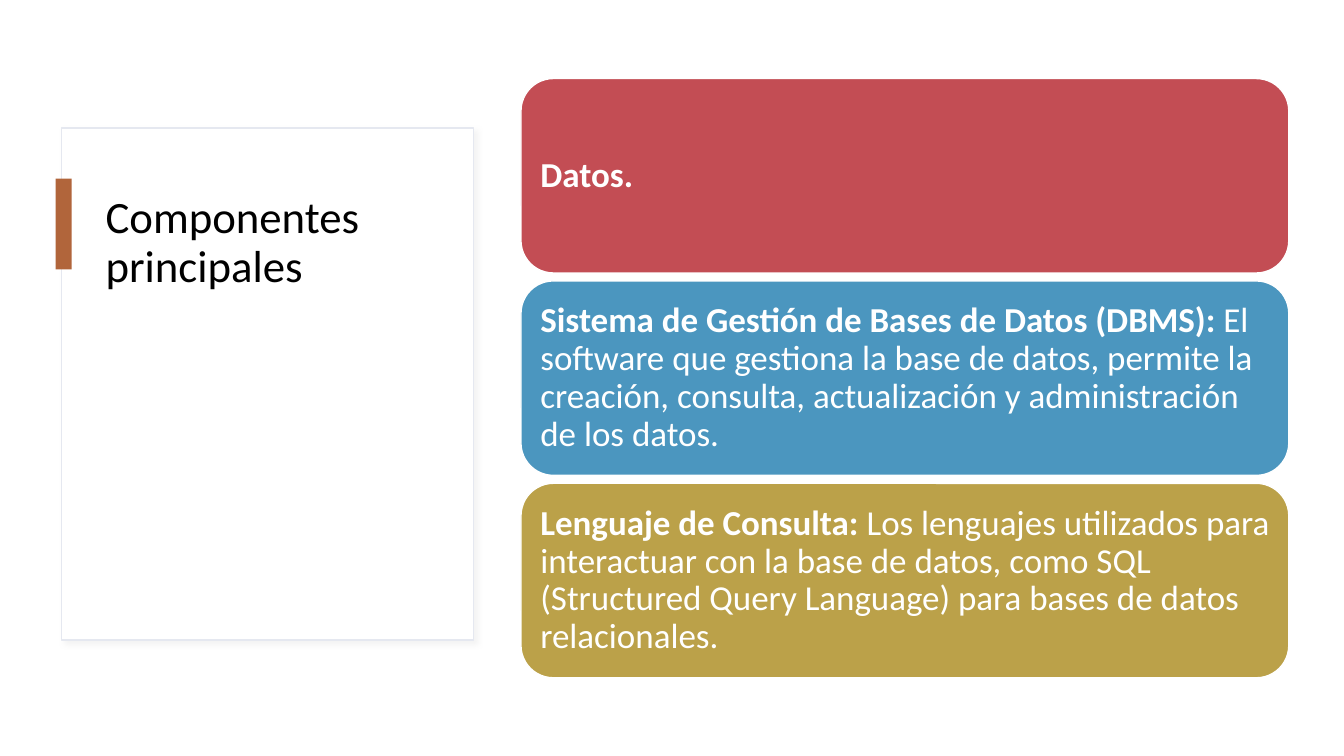
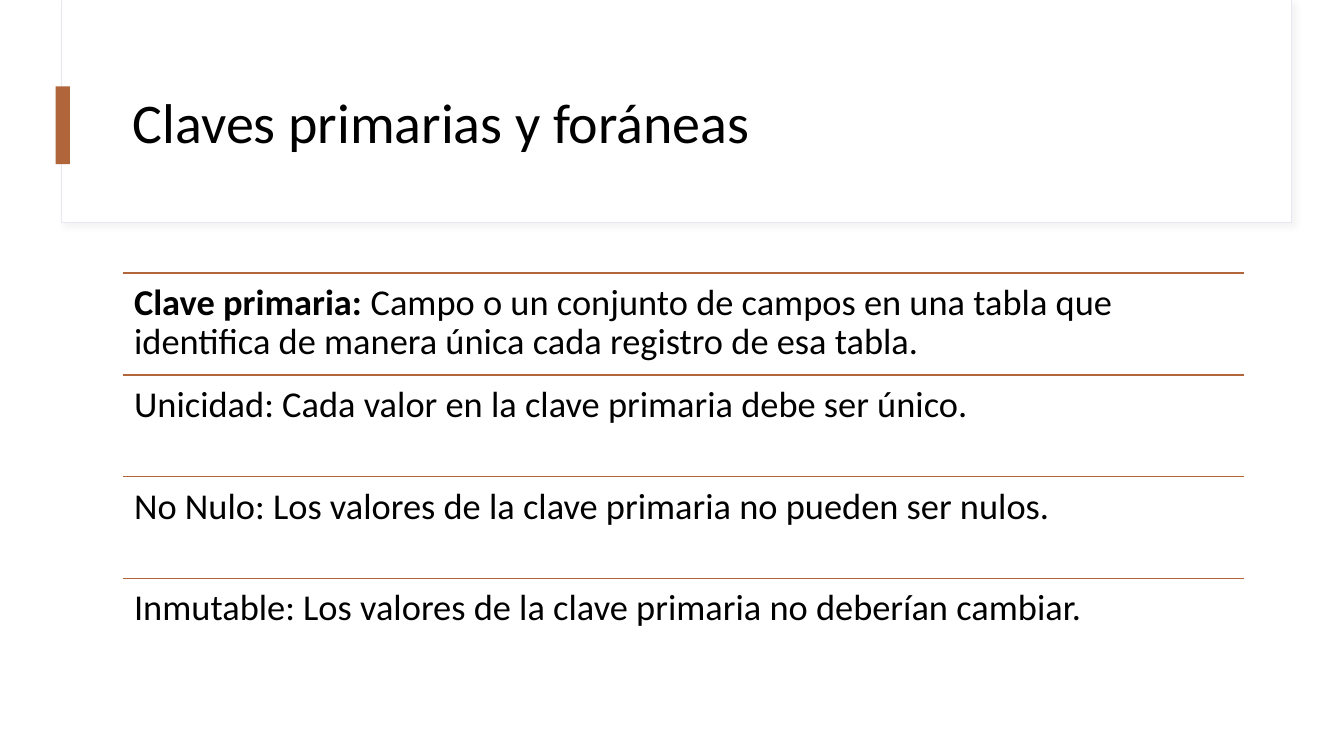
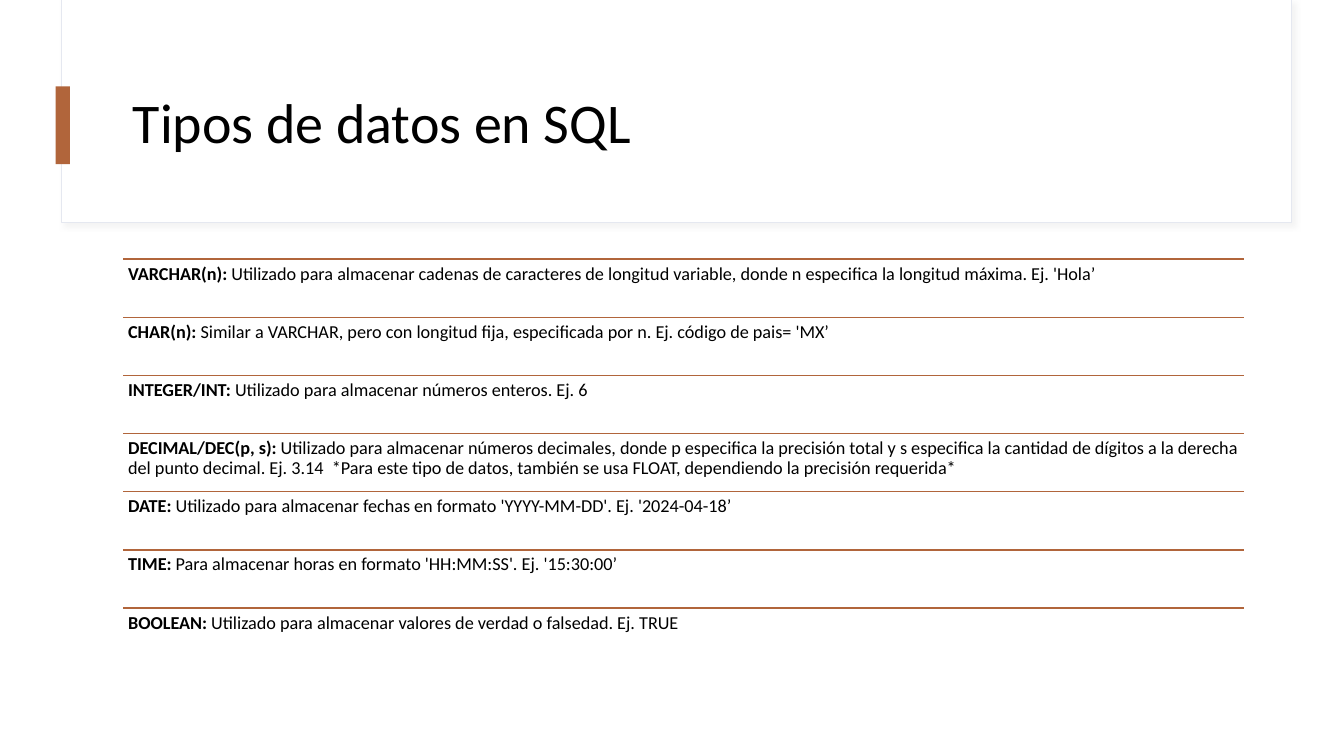
from lxml.etree import SubElement
from pptx import Presentation
from pptx.dml.color import RGBColor
from pptx.enum.shapes import MSO_CONNECTOR, MSO_SHAPE
from pptx.enum.text import MSO_ANCHOR, MSO_AUTO_SIZE, PP_ALIGN
from pptx.oxml.ns import qn
from pptx.util import Cm, Pt

FONT = "Calibri"
WHITE = "FFFFFF"
BLACK = "000000"
RUST = "B1653B"
FRAME = "E5E8F0"
SHADOW = "D9D9D9"
TITLE_ONLY = 5

PANEL_BOX = (1.55, 3.23, 10.39, 12.9)
CARDS_BOX = (13.13, 1.98, 19.35, 15.1)
BAND_BOX = (1.55, 0, 31.01, 5.61)

COMPONENTS = [
    ("C34D54", "Datos.", ""),
    ("4B96BF", "Sistema de Gestión de Bases de Datos (DBMS): ",
     "El software que gestiona la base de datos, permite la creación, consulta, "
     "actualización y administración de los datos."),
    ("BBA149", "Lenguaje de Consulta: ",
     "Los lenguajes utilizados para interactuar con la base de datos, como SQL "
     "(Structured Query Language) para bases de datos relacionales."),
]

KEYS = [
    ("Clave primaria: ",
     "Campo o un conjunto de campos en una tabla que identifica de manera única "
     "cada registro de esa tabla."),
    ("", "Unicidad: Cada valor en la clave primaria debe ser único."),
    ("", "No Nulo: Los valores de la clave primaria no pueden ser nulos."),
    ("", "Inmutable: Los valores de la clave primaria no deberían cambiar."),
]

DATA_TYPES = [
    ("VARCHAR(n): ",
     "Utilizado para almacenar cadenas de caracteres de longitud variable, donde n "
     "especifica la longitud máxima. Ej. 'Hola’"),
    ("CHAR(n): ",
     "Similar a VARCHAR, pero con longitud fija, especificada por n. "
     "Ej. código de pais= 'MX’"),
    ("INTEGER/INT: ", "Utilizado para almacenar números enteros. Ej. 6"),
    ("DECIMAL/DEC(p, s): ",
     "Utilizado para almacenar números decimales, donde p especifica la precisión "
     "total y s especifica la cantidad de dígitos a la derecha del punto decimal. "
     "Ej. 3.14  *Para este tipo de datos, también se usa FLOAT, dependiendo la "
     "precisión requerida*"),
    ("DATE: ",
     "Utilizado para almacenar fechas en formato 'YYYY-MM-DD'. Ej. '2024-04-18’"),
    ("TIME: ", "Para almacenar horas en formato 'HH:MM:SS'. Ej. '15:30:00’"),
    ("BOOLEAN: ",
     "Utilizado para almacenar valores de verdad o falsedad. Ej. TRUE"),
]


def color(value):
    return RGBColor.from_string(value)


def lengths(box):
    return [Cm(value) for value in box]


def write_text(shape, text, *, lead="", size, text_color=BLACK,
               anchor=MSO_ANCHOR.TOP, inset=(0.25, 0.13)):
    """Write one left-aligned paragraph, opened by the bold words of lead."""
    frame = shape.text_frame
    frame.word_wrap = True
    frame.auto_size = MSO_AUTO_SIZE.NONE
    frame.vertical_anchor = anchor
    frame.margin_left = frame.margin_right = Cm(inset[0])
    frame.margin_top = frame.margin_bottom = Cm(inset[1])
    paragraph = frame.paragraphs[0]
    paragraph.alignment = PP_ALIGN.LEFT
    paragraph.line_spacing = 0.9
    for words, bold in ((lead, True), (text, False)):
        if words:
            run = paragraph.add_run()
            run.text = words
            run.font.name = FONT
            run.font.size = Pt(size)
            run.font.bold = bold
            run.font.color.rgb = color(text_color)


def add_block(slide, kind, box, fill, line=None, line_width=1):
    shape = slide.shapes.add_shape(kind, *lengths(box))
    shape.shadow.inherit = False
    shape.fill.solid()
    shape.fill.fore_color.rgb = color(fill)
    if line:
        shape.line.color.rgb = color(line)
        shape.line.width = Pt(line_width)
    else:
        shape.line.fill.background()
    return shape


def add_frame(slide, box, line_width):
    """Add a white box with a thin border and a soft shadow."""
    frame = add_block(slide, MSO_SHAPE.RECTANGLE, box, WHITE, FRAME, line_width)
    effects = frame._element.spPr.find(qn("a:effectLst"))
    shadow = SubElement(effects, qn("a:outerShdw"), blurRad=str(Pt(4)),
                        dist=str(Pt(3)), dir=str(45 * 60000), algn="tl",
                        rotWithShape="0")
    tint = SubElement(shadow, qn("a:srgbClr"), val=SHADOW)
    SubElement(tint, qn("a:alpha"), val="30000")


def add_title(slide, text, box, size, anchor):
    title = slide.shapes.title
    title.left, title.top, title.width, title.height = lengths(box)
    write_text(title, text, size=size, anchor=anchor)
    slide.shapes._spTree.append(title._element)


def add_title_panel(slide, text, box):
    left, top, width, height = box
    add_frame(slide, box, 1)
    add_title(slide, text, (left + 0.86, top + 1.55, width - 1.78, height - 3.12),
              32, MSO_ANCHOR.TOP)
    add_block(slide, MSO_SHAPE.RECTANGLE, (left - 0.15, top + 1.27, 0.41, 2.29), RUST)


def add_title_band(slide, text, box):
    left, top, width, height = box
    add_frame(slide, box, 0.75)
    add_block(slide, MSO_SHAPE.RECTANGLE, (left - 0.15, top + 2.18, 0.36, 1.96), RUST)
    add_title(slide, text, (left + 1.55, top + 1.52, width - 2.76, height - 2.33),
              40, MSO_ANCHOR.MIDDLE)


def add_cards(slide, cards, box, gap=0.2):
    left, top, width, height = box
    card_height = (height - gap * (len(cards) - 1)) / len(cards)
    for index, (fill, lead, text) in enumerate(cards):
        card_top = top + index * (card_height + gap)
        card = add_block(slide, MSO_SHAPE.ROUNDED_RECTANGLE,
                         (left, card_top, width, card_height), fill, WHITE)
        write_text(card, text, lead=lead, size=25, text_color=WHITE,
                   anchor=MSO_ANCHOR.MIDDLE, inset=(0.25, 0.25))


def add_ruled_rows(slide, rows, box, size, inset):
    """Share the box out in equal rows, each with a line on top."""
    left, top, width, height = box
    row_height = height / len(rows)
    for index, (lead, text) in enumerate(rows):
        row_top = top + index * row_height
        rule = slide.shapes.add_connector(
            MSO_CONNECTOR.STRAIGHT,
            *lengths((left, row_top, left + width, row_top)))
        rule.line.color.rgb = color(RUST)
        rule.line.width = Pt(1)
        SubElement(rule._element.spPr, qn("a:effectLst"))
        row = slide.shapes.add_textbox(*lengths((left, row_top, width, row_height)))
        write_text(row, text, lead=lead, size=size, inset=(inset, inset))


def new_slide(presentation):
    return presentation.slides.add_slide(presentation.slide_layouts[TITLE_ONLY])


def build_components_slide(presentation):
    slide = new_slide(presentation)
    add_title_panel(slide, "Componentes principales", PANEL_BOX)
    add_cards(slide, COMPONENTS, CARDS_BOX)


def build_rows_slide(presentation, title, rows, *, top, size, inset):
    slide = new_slide(presentation)
    add_title_band(slide, title, BAND_BOX)
    add_ruled_rows(slide, rows, (3.1, top, 28.25, 10.26), size, inset)


def main():
    presentation = Presentation()
    presentation.slide_width = Cm(33.87)
    presentation.slide_height = Cm(19.05)
    build_components_slide(presentation)
    build_rows_slide(presentation, "Claves primarias y foráneas", KEYS,
                     top=6.88, size=26, inset=0.28)
    build_rows_slide(presentation, "Tipos de datos en SQL", DATA_TYPES,
                     top=6.53, size=13, inset=0.13)
    presentation.save("out.pptx")


if __name__ == "__main__":
    main()
